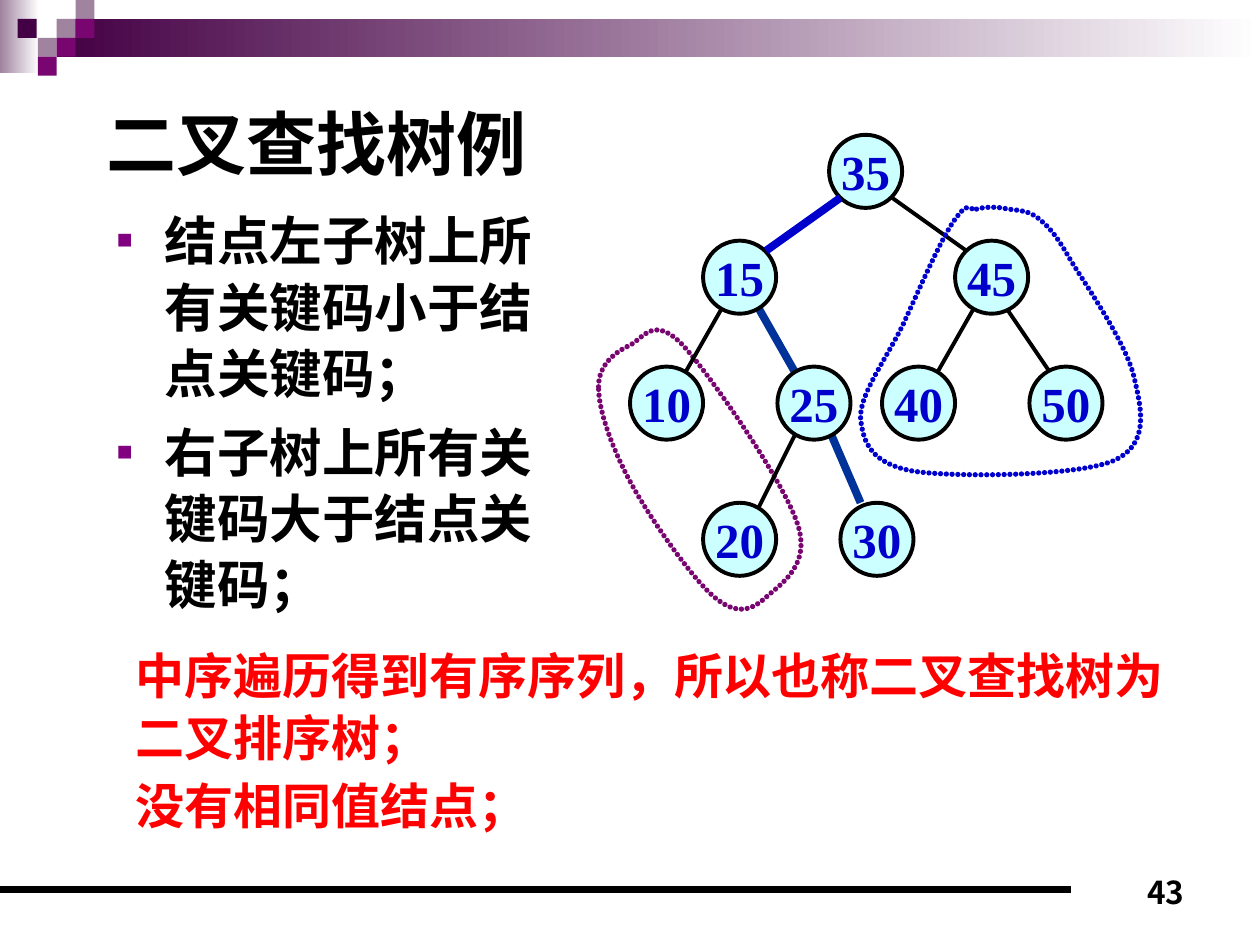
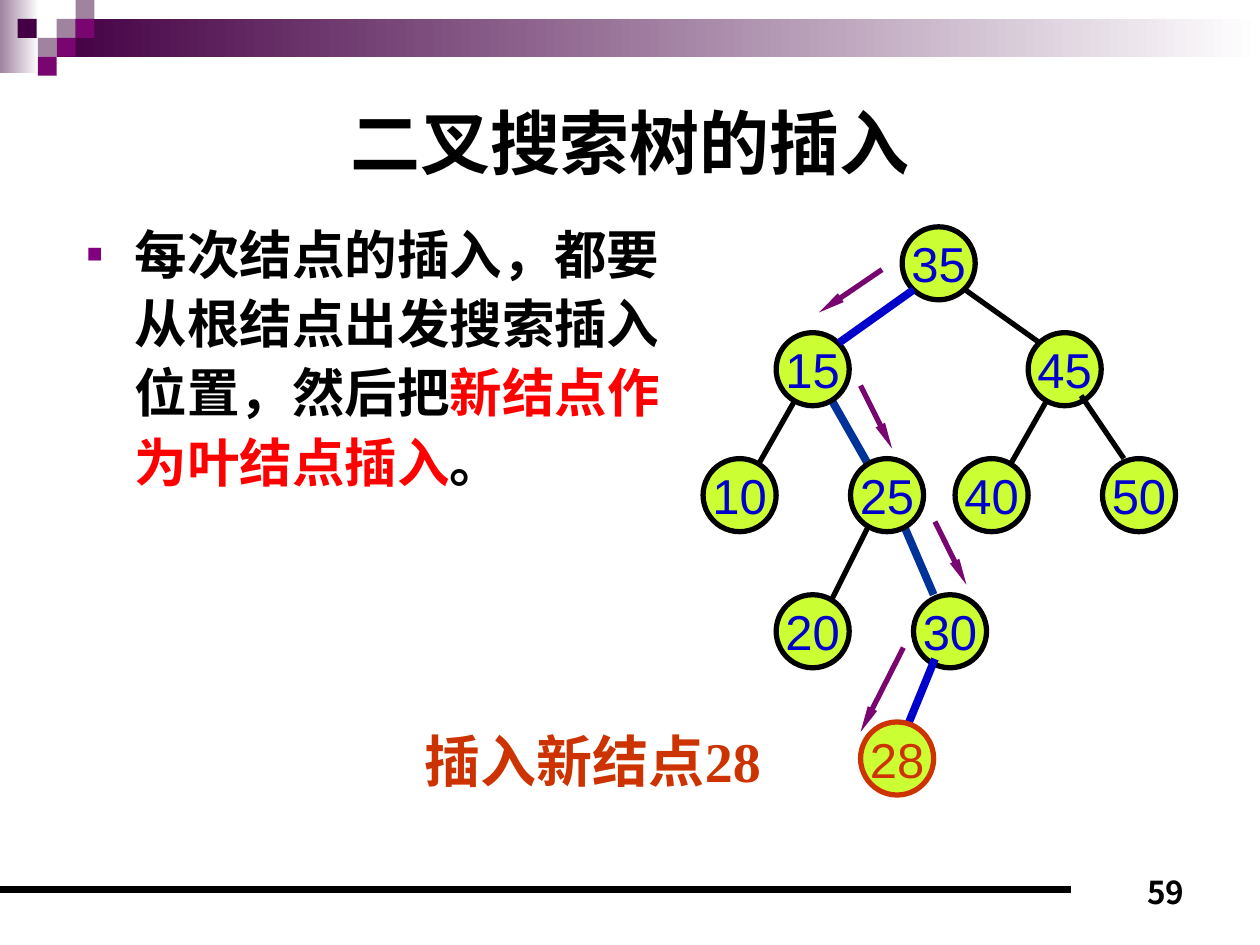
"""Build two slides on binary search trees: an example and an insertion."""
from lxml import etree
from pptx import Presentation
from pptx.dml.color import RGBColor
from pptx.enum.shapes import MSO_CONNECTOR, MSO_SHAPE
from pptx.enum.text import MSO_ANCHOR, PP_ALIGN
from pptx.oxml.ns import qn
from pptx.util import Inches, Pt

RECT, OVAL = MSO_SHAPE.RECTANGLE, MSO_SHAPE.OVAL
STRAIGHT = MSO_CONNECTOR.STRAIGHT
TOP, MIDDLE, BOTTOM = MSO_ANCHOR.TOP, MSO_ANCHOR.MIDDLE, MSO_ANCHOR.BOTTOM
LEFT, CENTER, RIGHT = PP_ALIGN.LEFT, PP_ALIGN.CENTER, PP_ALIGN.RIGHT

C = {"black": "000000", "white": "FFFFFF", "mauve": "9F839F", "dark": "440044",
     "purple": "790571", "bullet": "800080", "blue": "0000CC", "navy": "003399",
     "red": "FF0000", "rust": "CC3300", "aqua": "CCFFFF", "lime": "CCFF33"}

SERIF, SANS, CJK = "Times New Roman", "Arial", "Noto Sans CJK JP"

BANDS = [(0, 0, 0.31, 0.58, "mauve"), (0.45, 0.15, 9.55, 0.3, "dark")]
SQUARE = 0.15
SQUARES = [(0.45, 0.15, "mauve"), (0.6, 0, "mauve"), (0.6, 0.15, "purple"),
           (0.3, 0.3, "mauve"), (0.14, 0.15, "dark"), (0.45, 0.3, "purple"),
           (0.3, 0.45, "purple")]

NODE = 0.58
NODES = {"35": (6.58, 1.07), "15": (5.58, 1.91), "45": (7.58, 1.91),
         "50": (8.17, 2.91), "40": (7, 2.91), "25": (6.17, 2.91),
         "10": (5, 2.91), "20": (5.58, 3.99), "30": (6.67, 3.99)}
EDGES_BEHIND = [(7.75, 2.41, 7.42, 2.99, None), (6.58, 3.41, 6.83, 3.99, "navy"),
                (6.33, 3.41, 6, 4.07, None), (5.75, 2.41, 5.42, 2.99, None),
                (6, 2.41, 6.33, 2.99, "navy")]
EDGES_FRONT = [(6.67, 1.57, 6.08, 1.99, "blue"), (7.08, 1.57, 7.67, 1.99, None)]

LEFT_LOOP = [
    (4.75, 3.07), (4.75, 2.89), (4.89, 2.79), (5, 2.74),
    (5.11, 2.68), (5.19, 2.5), (5.42, 2.74), (5.64, 2.98), (6.22, 3.82), (6.33, 4.16),
    (6.44, 4.49), (6.19, 4.64), (6.08, 4.74), (5.97, 4.84), (5.85, 4.89), (5.67, 4.74),
    (5.49, 4.59), (5.15, 4.1), (5, 3.82), (4.85, 3.54), (4.75, 3.25), (4.75, 3.07)]
RIGHT_LOOP = [
    (7.75, 1.66), (7.82, 1.64), (7.92, 1.64), (8, 1.66),
    (8.08, 1.67), (8.17, 1.67), (8.25, 1.74), (8.33, 1.81), (8.38, 1.86), (8.5, 2.07),
    (8.63, 2.28), (8.94, 2.73), (9, 2.99), (9.06, 3.25), (9.13, 3.53), (8.83, 3.66),
    (8.54, 3.78), (7.58, 3.79), (7.25, 3.74), (6.92, 3.68), (6.85, 3.52), (6.83, 3.32),
    (6.82, 3.13), (7.04, 2.84), (7.17, 2.57), (7.29, 2.31), (7.47, 1.89), (7.58, 1.74),
    (7.69, 1.59), (7.68, 1.67), (7.75, 1.66)]

SEARCH_ARROWS = [(7, 2.14, 6.5, 2.48), (7.17, 5.14, 6.83, 5.81),
                 (6.83, 3.06, 7.08, 3.56), (7.42, 4.14, 7.67, 4.64)]

RULES = ["结点左子树上所有关键码小于结点关键码；", "右子树上所有关键码大于结点关键码；"]
REMARKS = ["中序遍历得到有序序列，所以也称二叉查找树为二叉排序树；", "没有相同值结点；"]
INSERTION = [[("每次结点的插入，都要从根结点出发搜索插入位置，然后把", "black"),
              ("新结点作为叶结点插入", "red"), ("。", "black")]]


def rgb(name):
    return RGBColor.from_string(C[name])


def add_bullet(p):
    pPr = p._p.get_or_add_pPr()
    pPr.set("marL", str(Inches(0.38)))
    pPr.set("indent", str(-Inches(0.38)))
    clr = etree.SubElement(pPr, qn("a:buClr"))
    etree.SubElement(clr, qn("a:srgbClr"), val=C["bullet"])
    etree.SubElement(pPr, qn("a:buSzPct"), val="50000")
    etree.SubElement(pPr, qn("a:buFont"), typeface=SANS)
    etree.SubElement(pPr, qn("a:buChar"), char="■")


def write(tf, paras, size=28, font=SANS, color="black", bold=True, align=LEFT,
          anchor=TOP, wrap=True, spacing=None, before=0, bullet=False):
    tf.word_wrap = wrap
    tf.vertical_anchor = anchor
    for i, para in enumerate(paras):
        p = tf.paragraphs[0] if i == 0 else tf.add_paragraph()
        if bullet:
            add_bullet(p)
        p.alignment = align
        if spacing:
            p.line_spacing = spacing
        if i and before:
            p.space_before = Pt(before)
        for text, run_color in [(para, color)] if isinstance(para, str) else para:
            r = p.add_run()
            r.text = text
            r.font.size, r.font.name, r.font.bold = Pt(size), font, bold
            r.font.color.rgb = rgb(run_color)


def add_text(s, box, paras, **fmt):
    write(s.shapes.add_textbox(*map(Inches, box)).text_frame, paras, **fmt)


def add_shape(s, kind, box, fill, line=None, width=0, fade=False):
    sp = s.shapes.add_shape(kind, *map(Inches, box))
    sp.shadow.inherit = False
    if fade:
        sp.fill.gradient()
        sp.fill.gradient_angle = 0
        for stop, name, pos in zip(sp.fill.gradient_stops, (fill, "white"), (0, 1)):
            stop.color.rgb = rgb(name)
            stop.position = pos
    else:
        sp.fill.solid()
        sp.fill.fore_color.rgb = rgb(fill)
    if line:
        sp.line.color.rgb = rgb(line)
        sp.line.width = Pt(width)
    else:
        sp.line.fill.background()
    return sp


def add_line(s, ends, color="black", width=4.5, arrow=False):
    cn = s.shapes.add_connector(STRAIGHT, *map(Inches, ends))
    cn.line.color.rgb = rgb(color)
    cn.line.width = Pt(width)
    if arrow:
        etree.SubElement(cn.line._get_or_add_ln(), qn("a:tailEnd"),
                         type="triangle", w="sm", len="lg")
    etree.SubElement(cn._element.spPr, qn("a:effectLst"))


def add_loop(s, curve, color):
    points = [(Inches(x), Inches(y)) for x, y in curve]
    fb = s.shapes.build_freeform(*points[0])
    fb.add_line_segments(points[1:], close=True)
    sp = fb.convert_to_shape()
    segments = list(sp._element.iter(qn("a:lnTo")))
    for i in range(0, len(segments), 3):
        bezier = etree.Element(qn("a:cubicBezTo"))
        segments[i].addprevious(bezier)
        for segment in segments[i:i + 3]:
            bezier.append(segment[0])
            segment.getparent().remove(segment)
    sp.shadow.inherit = False
    sp.fill.background()
    sp.line.color.rgb = rgb(color)
    sp.line.width = Pt(3)
    ln = sp.line._get_or_add_ln()
    ln.set("cap", "rnd")
    dash = etree.SubElement(ln, qn("a:custDash"))
    etree.SubElement(dash, qn("a:ds"), d="100000", sp="10000")


def add_node(s, key, x, y, fill, width, color="blue", line="black", **fmt):
    sp = add_shape(s, OVAL, (x, y, NODE, NODE), fill, line, width)
    write(sp.text_frame, [key], color=color, align=CENTER, anchor=MIDDLE, wrap=False, **fmt)


def add_tree(s, dx, dy, fill, width, **fmt):
    def add_edges(edges):
        for x1, y1, x2, y2, color in edges:
            add_line(s, (x1 + dx, y1 + dy, x2 + dx, y2 + dy), color or "black",
                     4.5 if color else width)

    add_edges(EDGES_BEHIND)
    for key, (x, y) in NODES.items():
        add_node(s, key, x + dx, y + dy, fill, width, **fmt)
    add_edges(EDGES_FRONT)


def add_base(prs, number, title, title_box, align):
    s = prs.slides.add_slide(prs.slide_layouts[6])
    for *box, color in BANDS:
        add_shape(s, RECT, box, color, fade=True)
    for x, y, color in SQUARES:
        add_shape(s, RECT, (x, y, SQUARE, SQUARE), color)
    add_line(s, (0, 7.06, 8.5, 7.06))
    add_text(s, (7.17, 6.78, 2.33, 0.5), [number], size=18, font=CJK,
             align=RIGHT, anchor=BOTTOM)
    add_text(s, title_box, [title], size=40, align=align, anchor=MIDDLE)
    return s


def build_example(prs):
    s = add_base(prs, "43", "二叉查找树例", (0.75, 0.68, 3.88, 0.9), LEFT)
    add_loop(s, LEFT_LOOP, "purple")
    add_tree(s, 0, 0, "aqua", 2.25, font=SERIF)
    add_line(s, (7.99, 2.45, 8.33, 2.95), width=2.25)
    add_loop(s, RIGHT_LOOP, "blue")
    add_text(s, (0.83, 1.58, 3.7, 3.58), RULES, size=30, spacing=1.05, before=7.5, bullet=True)
    add_text(s, (0.98, 5.05, 8.7, 1.62), REMARKS, font=SERIF, color="red",
             spacing=1.05, before=3.5)


def build_insertion(prs):
    s = add_base(prs, "59", "二叉搜索树的插入", (0.5, 0.5, 9, 1.24), CENTER)
    add_tree(s, 0.58, 0.73, "lime", 3, bold=False)
    add_line(s, (8.58, 3.14, 8.92, 3.64), width=3)
    for ends in SEARCH_ARROWS:
        add_line(s, ends, "purple", 3, arrow=True)
    add_line(s, (7.42, 5.23, 7.08, 6.06), "blue")
    add_node(s, "28", 6.83, 5.73, "lime", 3, color="rust", line="rust", bold=False)
    add_text(s, (3.27, 5.72, 3.25, 0.64), ["插入新结点28"], size=32, font=SERIF, color="rust")
    add_text(s, (0.59, 1.66, 4.92, 4.25), INSERTION, size=30, font=SERIF,
             spacing=1.1, bullet=True)


def main():
    prs = Presentation()
    prs.slide_width, prs.slide_height = Inches(10), Inches(7.5)
    build_example(prs)
    build_insertion(prs)
    prs.save("out.pptx")


if __name__ == "__main__":
    main()
